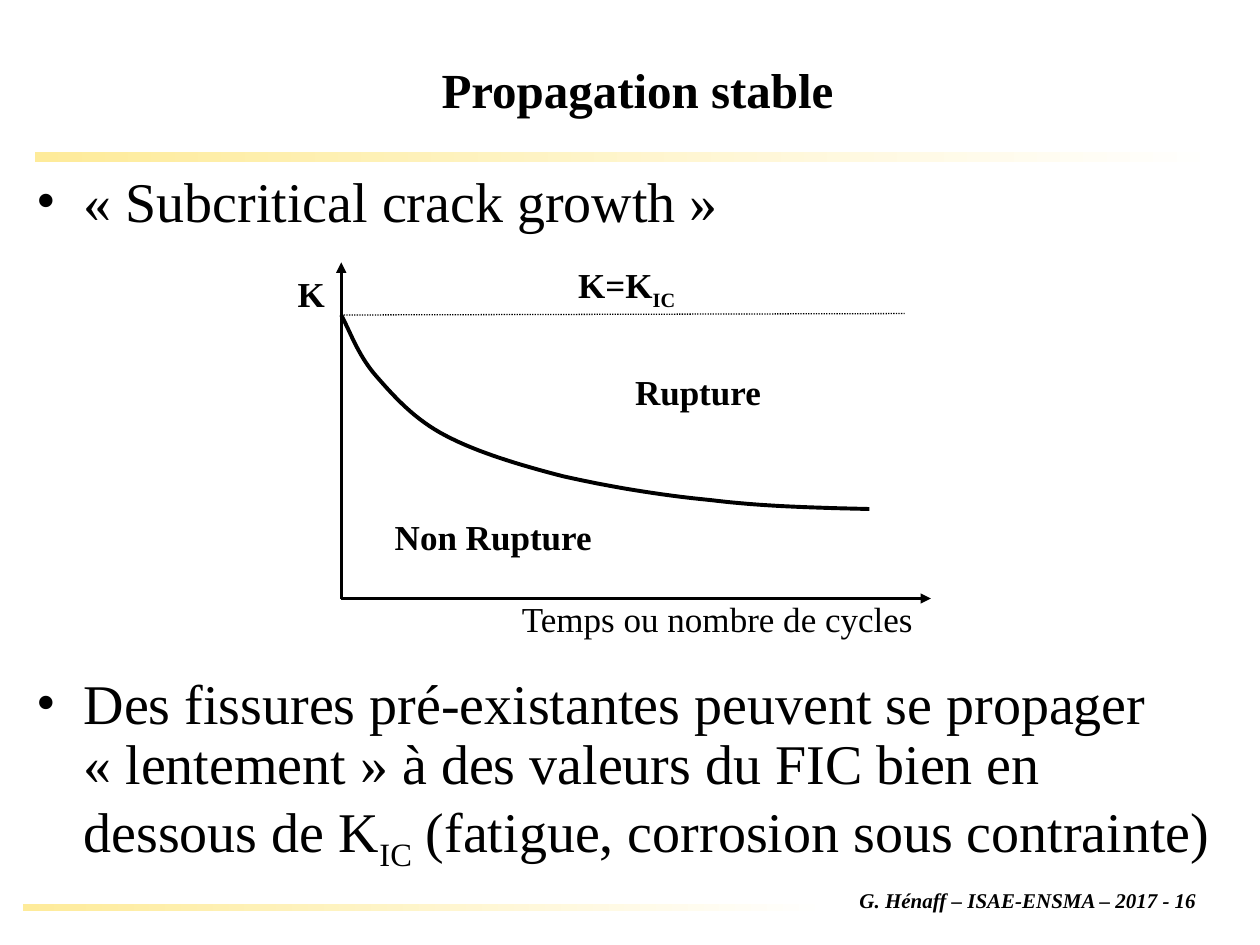
"""Build the slide on stable crack propagation."""
from dataclasses import dataclass

from lxml import etree
from pptx import Presentation
from pptx import util as u
from pptx.dml.color import RGBColor
from pptx.enum import dml, shapes, text
from pptx.oxml import ns

Pt = u.Pt


@dataclass(frozen=True)
class Theme:
    font: str = "Times New Roman"
    ink: RGBColor = RGBColor(0, 0, 0)
    bar_start: RGBColor = RGBColor(0xFE, 0xEB, 0x9A)
    bar_end: RGBColor = RGBColor(0xFF, 0xFF, 0xFF)
    title: int = 28
    body: int = 32
    label: int = 20
    footer: int = 12


@dataclass(frozen=True)
class Area:
    left: float
    top: float
    width: float
    height: float

    def lengths(self) -> tuple:
        return Pt(self.left), Pt(self.top), Pt(self.width), Pt(self.height)


@dataclass(frozen=True)
class Label:
    area: Area
    wording: str
    bold: bool = True
    italic: bool = False
    size: int = Theme.label
    subscript: str = ""


@dataclass(frozen=True)
class Line:
    start: tuple
    end: tuple
    width: float
    arrow: bool = False
    dotted: bool = False


THEME = Theme()
HARD_SPACE = chr(160)
ORIGIN_X, ORIGIN_Y, LIMIT_Y = 195, 342, 180

BARS = (Area(13, 516.5, 461.5, 4), Area(20, 87, 679, 5.5))
LINES = (
    Line((ORIGIN_X, ORIGIN_Y), (532, ORIGIN_Y), 1.5, arrow=True),
    Line((ORIGIN_X, ORIGIN_Y), (ORIGIN_X, 150), 1.5, arrow=True),
    Line((ORIGIN_X, LIMIT_Y), (517, 179.2), 0.75, dotted=True),
)
LABELS = (
    Label(Area(322.5, 148.7, 71.3, 31), "K=K", subscript="IC"),
    Label(Area(355.7, 208, 86.4, 31), "Rupture"),
    Label(Area(218.2, 291, 127.4, 31), "Non Rupture"),
    Label(Area(162.8, 152, 30.2, 31), "K"),
    Label(Area(290.8, 338, 238.3, 31), "Temps ou nombre de cycles", bold=False),
    Label(Area(479, 503.8, 216.7, 21.6), "G. Hénaff – ISAE-ENSMA – 2017 - 16",
          italic=True, size=THEME.footer),
)
CURVE_START = (ORIGIN_X, LIMIT_Y)
CURVE = (
    ((201.6, 193), (205.2, 203.8), (215.3, 215.3)),
    ((225.4, 226.8), (236.9, 239.8), (254.9, 249.1)),
    ((272.9, 258.5), (296.6, 265.7), (321.8, 272.2)),
    ((347, 277.9), (376.6, 283), (406.1, 285.8)),
    ((434.9, 289.4), (465.8, 290.2), (496.8, 290.9)),
)
BULLETS = (
    ((f"«{HARD_SPACE}Subcritical crack growth{HARD_SPACE}»", False),),
    (("Des fissures pré-existantes peuvent se propager "
      f"«{HARD_SPACE}lentement{HARD_SPACE}» "
      "à des valeurs du FIC bien en dessous de K", False),
     ("IC", True), (" (fatigue, corrosion sous contrainte)", False)),
)


def format_font(para, size: float, bold: bool = False, italic: bool = False) -> None:
    """Apply the theme font to a paragraph."""
    font = para.font
    font.name, font.size, font.bold, font.italic = THEME.font, Pt(size), bold, italic
    font.color.rgb = THEME.ink


def add_span(para, wording: str, lowered: bool = False) -> None:
    """Add a run, set as a subscript if lowered."""
    span = para.add_run()
    span.text = wording
    if lowered:
        span.font._element.set("baseline", "-25000")


def draw_bar(page, area: Area) -> None:
    """Draw a rule that fades out to the right."""
    bar = page.shapes.add_shape(shapes.MSO_SHAPE.RECTANGLE, *area.lengths())
    bar.shadow.inherit = False
    bar.line.fill.background()
    bar.fill.gradient()
    bar.fill.gradient_angle = 0
    for stop, color in zip(bar.fill.gradient_stops, (THEME.bar_start, THEME.bar_end)):
        stop.color.rgb = color


def draw_line(page, line: Line) -> None:
    """Draw an axis or a limit line."""
    ends = (Pt(value) for value in line.start + line.end)
    connector = page.shapes.add_connector(shapes.MSO_CONNECTOR.STRAIGHT, *ends)
    connector.line.color.rgb = THEME.ink
    connector.line.width = Pt(line.width)
    if line.dotted:
        connector.line.dash_style = dml.MSO_LINE.ROUND_DOT
    if line.arrow:
        outline = connector.line._get_or_add_ln()
        etree.SubElement(outline, ns.qn("a:tailEnd"), type="triangle")
    etree.SubElement(connector._element.spPr, ns.qn("a:effectLst"))


def draw_label(page, label: Label) -> None:
    """Draw a centred one-line label."""
    box = page.shapes.add_textbox(*label.area.lengths())
    box.text_frame.word_wrap = False
    box.text_frame.vertical_anchor = text.MSO_ANCHOR.MIDDLE
    para = box.text_frame.paragraphs[0]
    para.alignment = text.PP_ALIGN.CENTER
    format_font(para, label.size, label.bold, label.italic)
    add_span(para, label.wording)
    if label.subscript:
        add_span(para, label.subscript, lowered=True)


def bezier_points(start: tuple, segments: tuple, steps: int = 16) -> list:
    """Sample joined cubic segments."""
    points = []
    for first, second, end in segments:
        for step in range(1, steps + 1):
            t = step / steps
            weights = ((1 - t) ** 3, 3 * t * (1 - t) ** 2, 3 * t * t * (1 - t), t ** 3)
            corners = (start, first, second, end)
            points.append(tuple(
                Pt(sum(w * corner[axis] for w, corner in zip(weights, corners)))
                for axis in (0, 1)))
        start = end
    return points


def draw_curve(page) -> None:
    """Draw the boundary between rupture and no rupture."""
    builder = page.shapes.build_freeform(*(Pt(value) for value in CURVE_START))
    builder.add_line_segments(bezier_points(CURVE_START, CURVE), close=False)
    curve = builder.convert_to_shape()
    curve.shadow.inherit = False
    curve.fill.background()
    curve.line.color.rgb = THEME.ink
    curve.line.width = Pt(2.25)


def draw_bullets(page, area: Area, gap: float) -> None:
    """Draw the bullets above and below the diagram."""
    frame = page.shapes.add_textbox(*area.lengths()).text_frame
    frame.word_wrap = True
    for index, spans in enumerate(BULLETS):
        para = frame.add_paragraph() if index else frame.paragraphs[0]
        para.line_spacing = 0.9
        para.space_before = Pt(gap if index else 0)
        properties = para._p.get_or_add_pPr()
        properties.set("marL", str(Pt(27)))
        properties.set("indent", str(Pt(-27)))
        etree.SubElement(properties, ns.qn("a:buFont"), typeface=THEME.font)
        etree.SubElement(properties, ns.qn("a:buChar"), char="•")
        format_font(para, THEME.body)
        for wording, lowered in spans:
            add_span(para, wording, lowered)


def draw_title(page, area: Area) -> None:
    """Place and format the title."""
    title = page.shapes.title
    title.left, title.top, title.width, title.height = area.lengths()
    title.text_frame.text = "Propagation stable"
    title.text_frame.vertical_anchor = text.MSO_ANCHOR.MIDDLE
    para = title.text_frame.paragraphs[0]
    para.alignment = text.PP_ALIGN.CENTER
    format_font(para, THEME.title, bold=True)


def main() -> None:
    """Build and save the deck."""
    deck = Presentation()
    deck.slide_width, deck.slide_height = Pt(720), Pt(540)
    page = deck.slides.add_slide(deck.slide_layouts[5])
    for bar in BARS:
        draw_bar(page, bar)
    draw_title(page, Area(58.3, 15.5, 612, 70.6))
    draw_bullets(page, Area(13.7, 95.8, 693.4, 409), gap=252.3)
    for line in LINES:
        draw_line(page, line)
    draw_curve(page)
    for label in LABELS:
        draw_label(page, label)
    deck.save("out.pptx")


if __name__ == "__main__":
    main()
